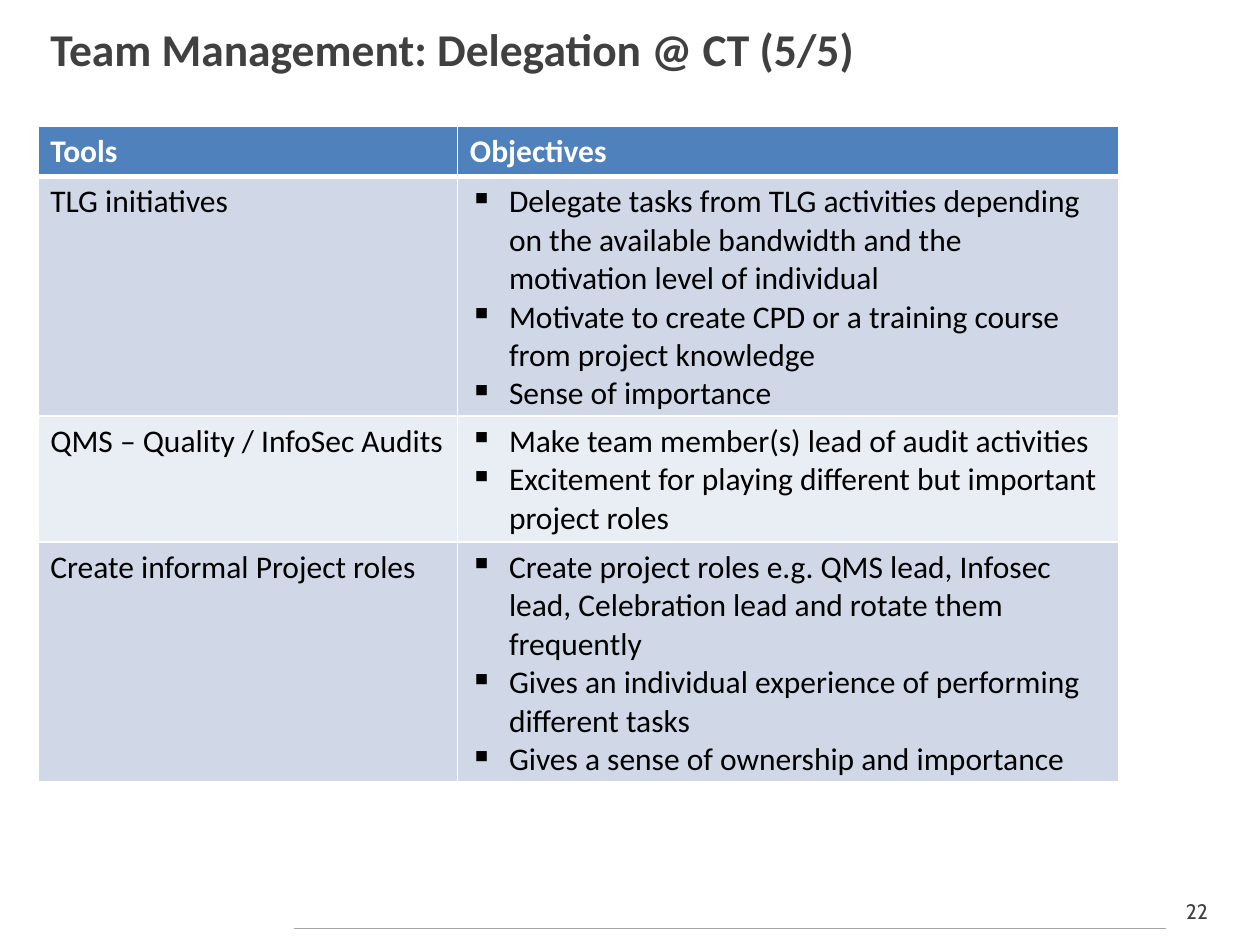
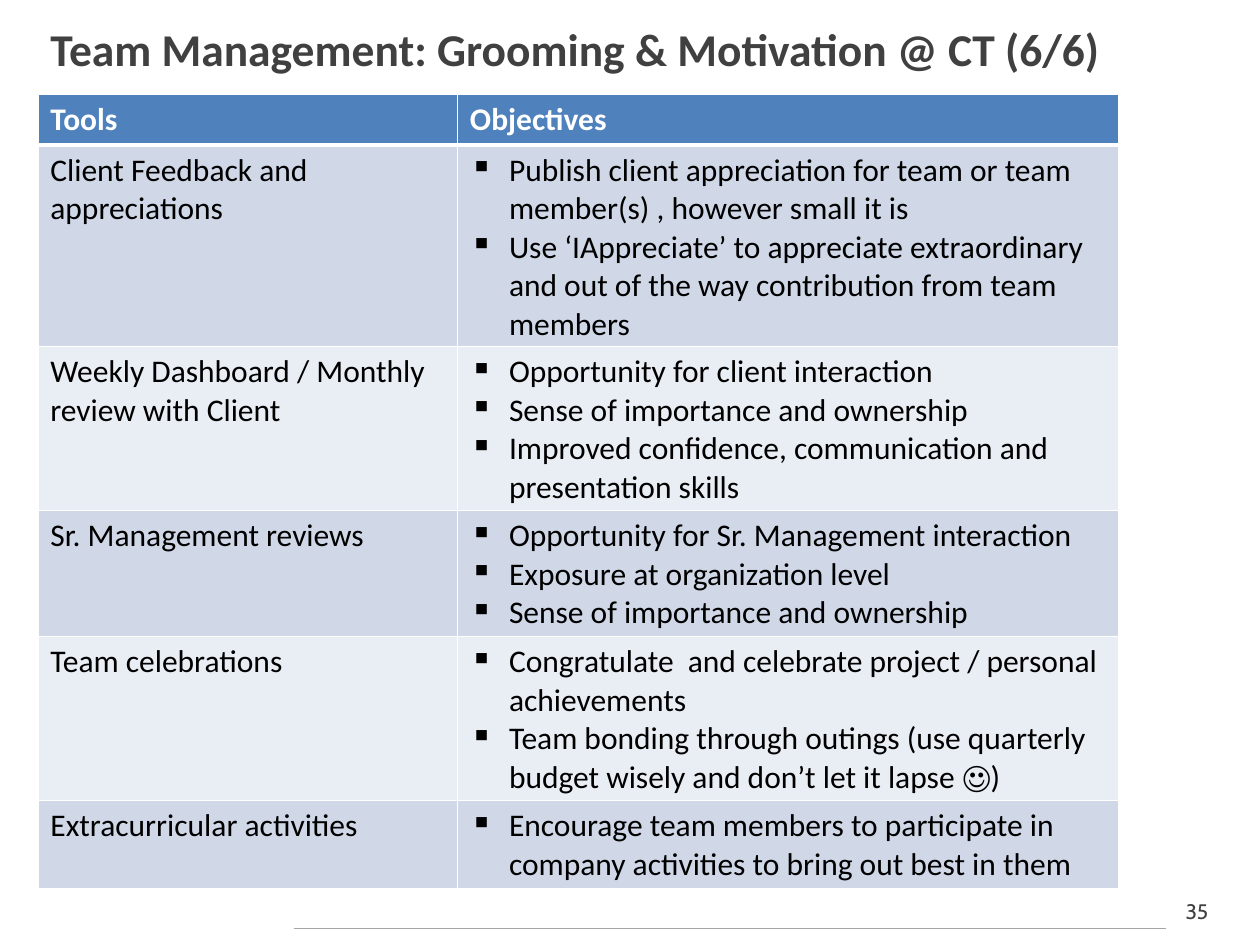
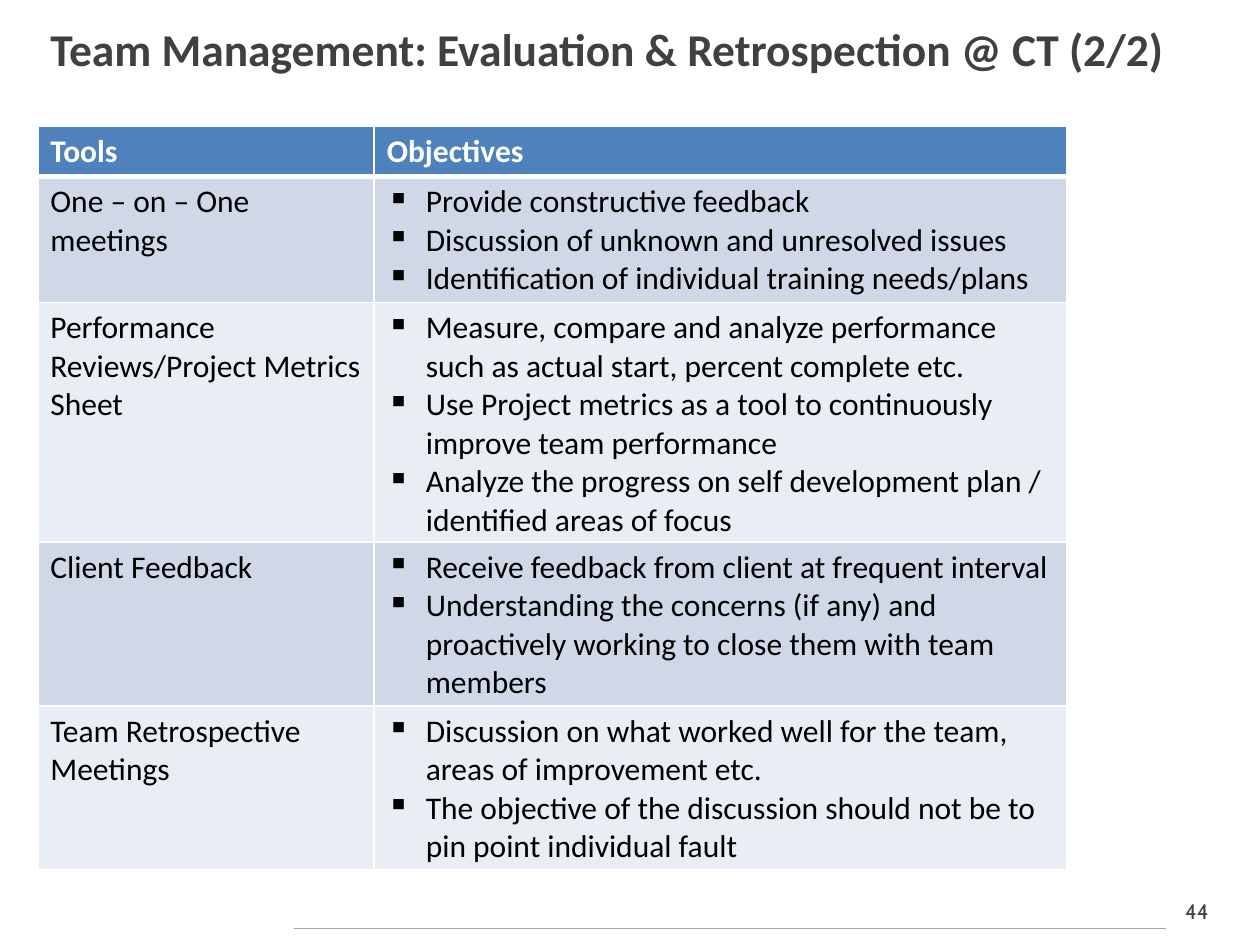
from dataclasses import dataclass

from lxml import etree
from pptx import Presentation
from pptx.dml.color import RGBColor
from pptx.enum.shapes import MSO_CONNECTOR
from pptx.enum.text import MSO_ANCHOR, MSO_AUTO_SIZE, PP_ALIGN
from pptx.oxml.ns import qn
from pptx.presentation import Presentation as PresentationType
from pptx.slide import Slide
from pptx.table import _Cell
from pptx.util import Inches, Length, Pt

STRAIGHT = MSO_CONNECTOR.STRAIGHT
TOP = MSO_ANCHOR.TOP
NO_AUTO_SIZE = MSO_AUTO_SIZE.NONE
FIT_SHAPE = MSO_AUTO_SIZE.SHAPE_TO_FIT_TEXT
LEFT, CENTER = PP_ALIGN.LEFT, PP_ALIGN.CENTER

DARK_GRAY = RGBColor(0x40, 0x40, 0x40)
RULE_GRAY = RGBColor(0xA6, 0xA6, 0xA6)
WHITE = RGBColor(0xFF, 0xFF, 0xFF)
BLACK = RGBColor(0x00, 0x00, 0x00)
HEADER_BLUE = RGBColor(0x4F, 0x81, 0xBD)
BAND_COLORS = (RGBColor(0xD0, 0xD8, 0xE8), RGBColor(0xE9, 0xED, 0xF4))

TEXT_FONT = "Calibri"
NUMBER_FONT = "Cabin"
TITLE_ONLY_LAYOUT = 5
HEADERS = ("Tools", "Objectives")
LEFT_EDGE = Inches(0.3)
ROW_HEIGHT = Inches(0.4)
BULLET_INDENT = Inches(0.31)
THIN_BORDER, HEADER_BORDER = Pt(1), Pt(3)


@dataclass(frozen=True)
class Tool:
    name: str
    objectives: tuple[str, ...]


@dataclass(frozen=True)
class ToolSlide:
    title: str
    number: int
    table_top: Length
    column_widths: tuple[Length, Length]
    tools: tuple[Tool, ...]


TOOL_SLIDES = (
    ToolSlide(
        "Team Management: Delegation @ CT (5/5)", 22,
        Inches(1), (Inches(3.33), Inches(5.25)),
        (
            Tool("TLG initiatives", (
                "Delegate tasks from TLG activities depending on the available "
                "bandwidth and the motivation level of individual",
                "Motivate to create CPD or a training course from project knowledge",
                "Sense of importance",
            )),
            Tool("QMS – Quality / InfoSec Audits", (
                "Make team member(s) lead of audit activities",
                "Excitement for playing different but important project roles",
            )),
            Tool("Create informal Project roles", (
                "Create project roles e.g. QMS lead, Infosec lead, Celebration "
                "lead and rotate them frequently",
                "Gives an individual experience of performing different tasks",
                "Gives a sense of ownership and importance",
            )),
        ),
    ),
    ToolSlide(
        "Team Management: Grooming & Motivation @ CT (6/6)", 35,
        Inches(0.75), (Inches(3.33), Inches(5.25)),
        (
            Tool("Client Feedback and appreciations", (
                "Publish client appreciation for team or team member(s) , "
                "however small it is",
                "Use ‘IAppreciate’ to appreciate extraordinary and out of the "
                "way contribution from team members",
            )),
            Tool("Weekly Dashboard / Monthly review with Client", (
                "Opportunity for client interaction",
                "Sense of importance and ownership",
                "Improved confidence, communication and presentation skills",
            )),
            Tool("Sr. Management reviews", (
                "Opportunity for Sr. Management interaction",
                "Exposure at organization level",
                "Sense of importance and ownership",
            )),
            Tool("Team celebrations", (
                "Congratulate  and celebrate project / personal achievements",
                "Team bonding through outings (use quarterly budget wisely and "
                "don’t let it lapse ☺)",
            )),
            Tool("Extracurricular activities", (
                "Encourage team members to participate in company activities to "
                "bring out best in them",
            )),
        ),
    ),
    ToolSlide(
        "Team Management: Evaluation & Retrospection @ CT (2/2)", 44,
        Inches(1), (Inches(2.67), Inches(5.5)),
        (
            Tool("One – on – One meetings", (
                "Provide constructive feedback",
                "Discussion of unknown and unresolved issues",
                "Identification of individual training needs/plans",
            )),
            Tool("Performance Reviews/Project Metrics Sheet", (
                "Measure, compare and analyze performance such as actual start, "
                "percent complete etc.",
                "Use Project metrics as a tool to continuously improve team performance",
                "Analyze the progress on self development plan / identified "
                "areas of focus",
            )),
            Tool("Client Feedback", (
                "Receive feedback from client at frequent interval",
                "Understanding the concerns (if any) and proactively working to "
                "close them with team members",
            )),
            Tool("Team Retrospective Meetings", (
                "Discussion on what worked well for the team, areas of improvement etc.",
                "The objective of the discussion should not be to pin point "
                "individual fault",
            )),
        ),
    ),
)


def format_runs(text_frame, size: int, color: RGBColor, bold: bool = False,
                font_name: str = TEXT_FONT) -> None:
    for paragraph in text_frame.paragraphs:
        for run in paragraph.runs:
            run.font.name = font_name
            run.font.size = Pt(size)
            run.font.bold = bold
            run.font.color.rgb = color


def add_title(slide: Slide, text: str) -> None:
    title = slide.shapes.title
    title.left, title.top = LEFT_EDGE, Inches(0.12)
    title.width, title.height = Inches(9.36), Inches(0.63)
    text_frame = title.text_frame
    text_frame.text = text
    text_frame.auto_size = NO_AUTO_SIZE
    text_frame.vertical_anchor = TOP
    text_frame.paragraphs[0].alignment = LEFT
    format_runs(text_frame, 26, DARK_GRAY, bold=True)


def add_footer(slide: Slide, number: int) -> None:
    number_box = slide.shapes.add_textbox(
        Inches(9.25), Inches(7.08), Inches(0.5), Inches(0.3))
    text_frame = number_box.text_frame
    text_frame.word_wrap = True
    text_frame.auto_size = FIT_SHAPE
    text_frame.text = str(number)
    text_frame.paragraphs[0].alignment = CENTER
    format_runs(text_frame, 12, DARK_GRAY, font_name=NUMBER_FONT)

    rule = slide.shapes.add_connector(
        STRAIGHT, Inches(2.33), Inches(7.37), Inches(9.25), Inches(7.37))
    rule.line.color.rgb = RULE_GRAY
    rule.line.width = Pt(0.75)
    etree.SubElement(rule._element.spPr, qn("a:effectLst"))


def set_borders(cell: _Cell, top: Length, bottom: Length) -> None:
    properties = cell._tc.get_or_add_tcPr()
    widths = {"lnL": THIN_BORDER, "lnR": THIN_BORDER, "lnT": top, "lnB": bottom}
    for side, width in widths.items():
        border = etree.SubElement(properties, qn(f"a:{side}"), w=str(width))
        fill = etree.SubElement(border, qn("a:solidFill"))
        etree.SubElement(fill, qn("a:srgbClr"), val=str(WHITE))


def add_bullets(text_frame) -> None:
    for paragraph in text_frame.paragraphs:
        properties = paragraph._p.get_or_add_pPr()
        properties.set("marL", str(BULLET_INDENT))
        properties.set("indent", str(-BULLET_INDENT))
        etree.SubElement(properties, qn("a:buChar"), char="▪")


def fill_cell(cell: _Cell, text: str, row: int) -> None:
    is_header = row == 0
    cell.text_frame.text = text
    format_runs(cell.text_frame, 18, WHITE if is_header else BLACK, bold=is_header)
    set_borders(cell,
                top=HEADER_BORDER if row == 1 else THIN_BORDER,
                bottom=HEADER_BORDER if is_header else THIN_BORDER)
    cell.fill.solid()
    cell.fill.fore_color.rgb = HEADER_BLUE if is_header else BAND_COLORS[(row - 1) % 2]


def add_tool_table(slide: Slide, content: ToolSlide) -> None:
    row_count = len(content.tools) + 1
    table = slide.shapes.add_table(
        row_count, len(HEADERS), LEFT_EDGE, content.table_top,
        sum(content.column_widths), ROW_HEIGHT * row_count).table
    for column, width in zip(table.columns, content.column_widths):
        column.width = width
    for column, header in enumerate(HEADERS):
        fill_cell(table.cell(0, column), header, 0)
    for row, tool in enumerate(content.tools, start=1):
        fill_cell(table.cell(row, 0), tool.name, row)
        objectives = table.cell(row, 1)
        fill_cell(objectives, "\n".join(tool.objectives), row)
        add_bullets(objectives.text_frame)


def add_tool_slide(presentation: PresentationType, content: ToolSlide) -> None:
    slide = presentation.slides.add_slide(
        presentation.slide_layouts[TITLE_ONLY_LAYOUT])
    add_footer(slide, content.number)
    add_title(slide, content.title)
    add_tool_table(slide, content)


def main() -> None:
    presentation = Presentation()
    presentation.slide_width = Inches(10)
    presentation.slide_height = Inches(7.5)
    for content in TOOL_SLIDES:
        add_tool_slide(presentation, content)
    presentation.save("out.pptx")


if __name__ == "__main__":
    main()
